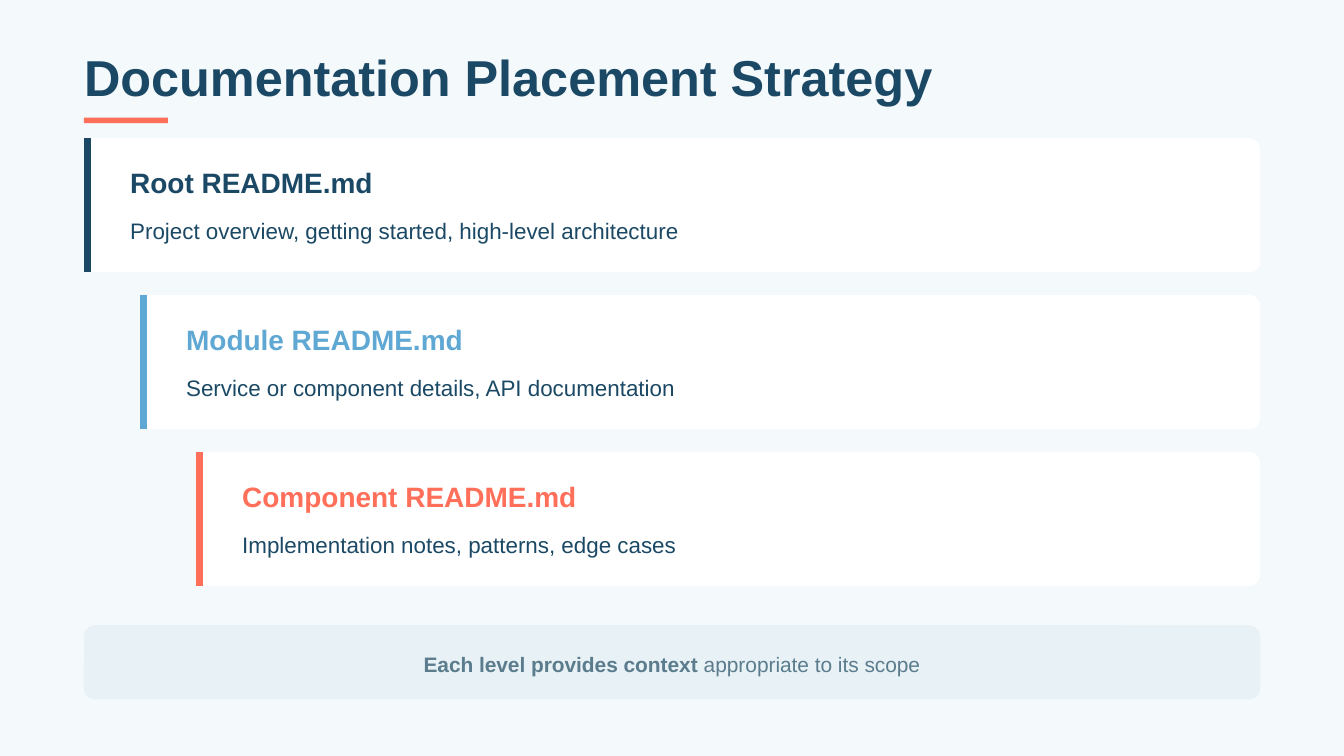
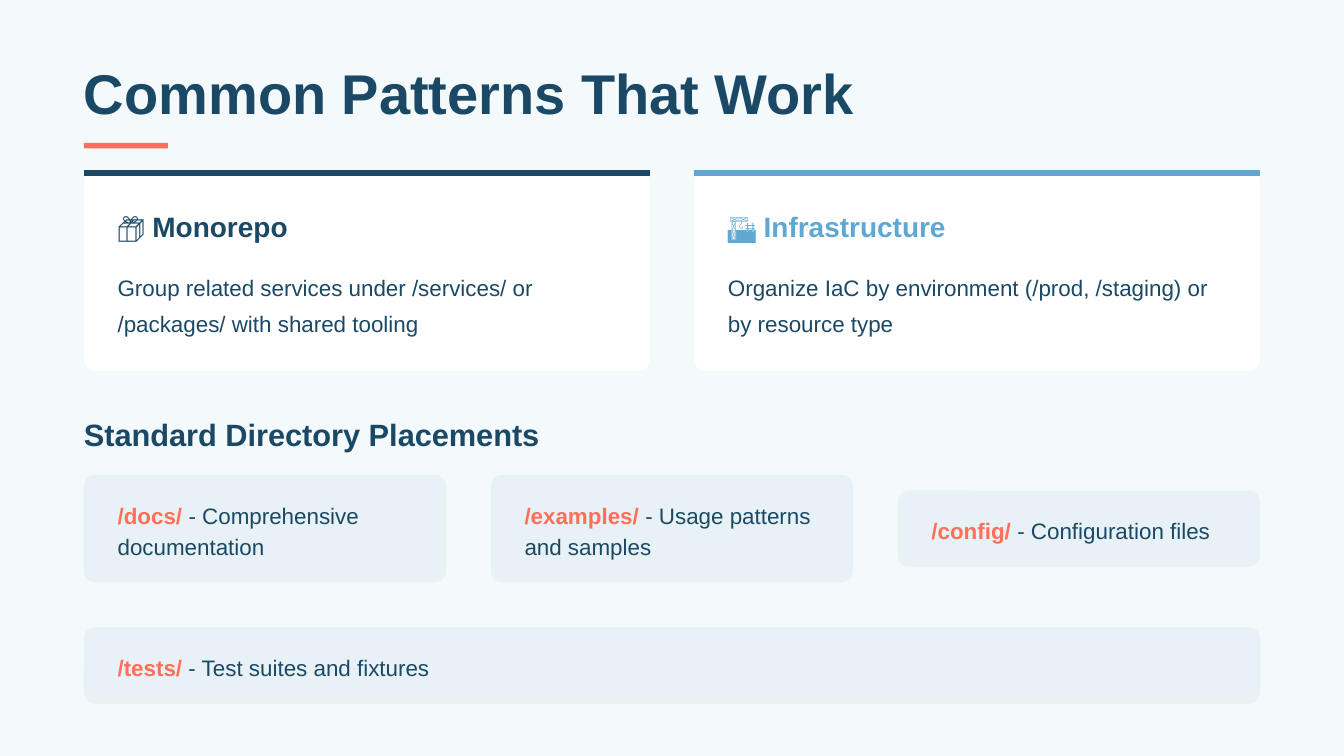
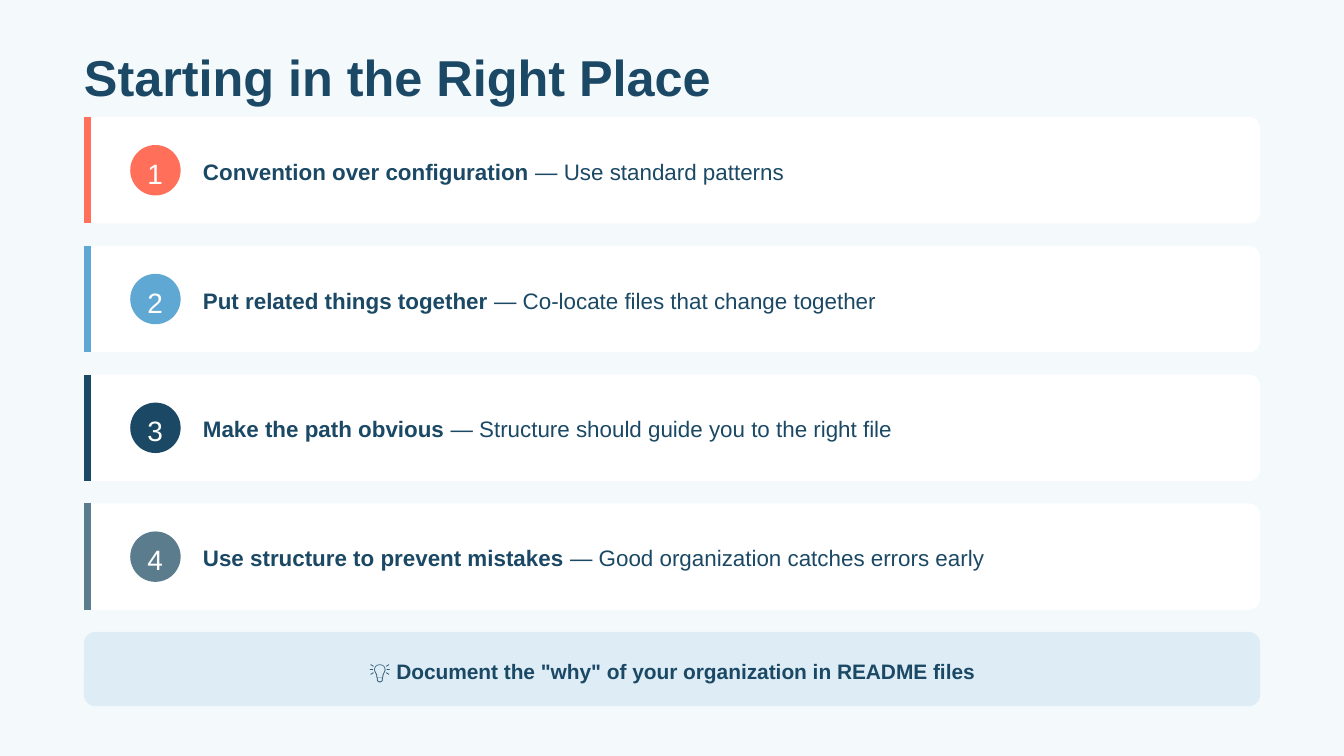
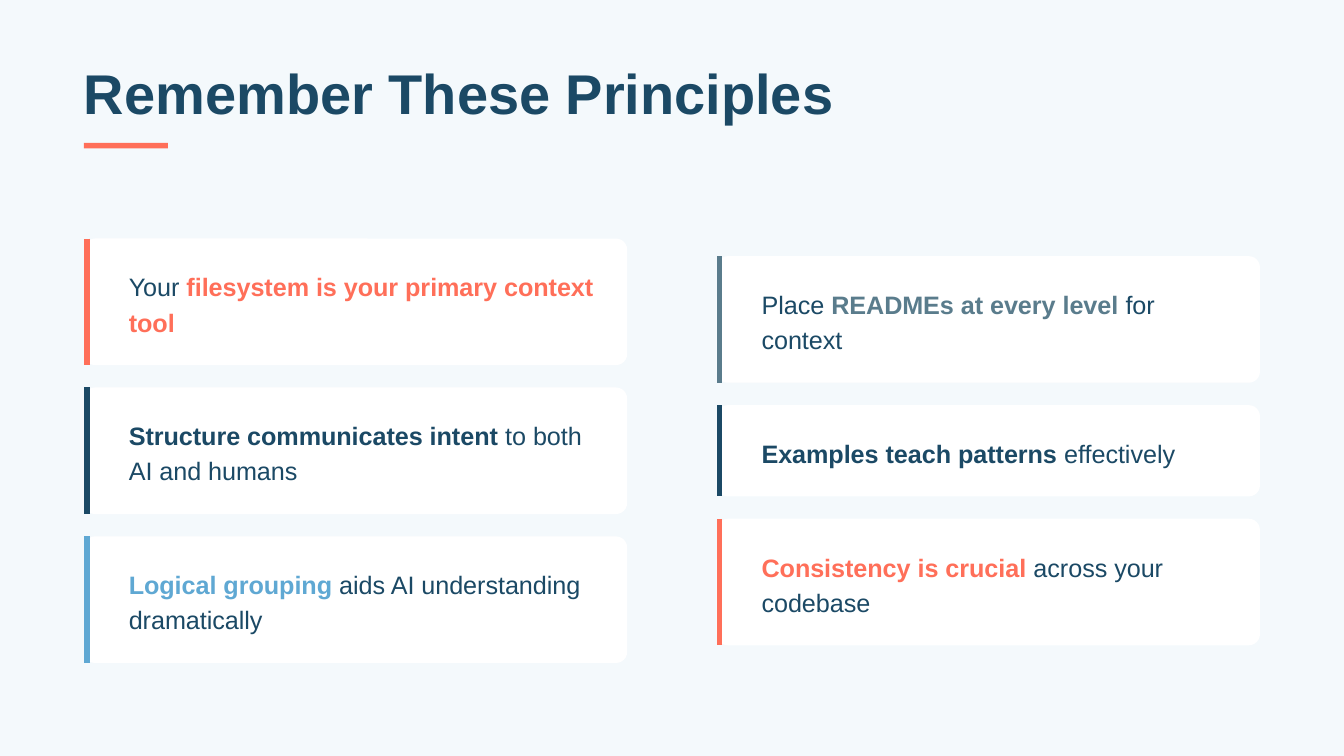
"""Build four slides on documentation placement and directory structure."""
from dataclasses import dataclass

from lxml.etree import SubElement
from pptx import Presentation
from pptx.dml.color import RGBColor as Color
from pptx.enum.shapes import MSO_CONNECTOR as Connector, MSO_SHAPE as Preset
from pptx.enum.text import PP_ALIGN as Align
from pptx.oxml.ns import qn
from pptx.presentation import Presentation as Deck
from pptx.shapes.autoshape import Shape
from pptx.slide import Slide
from pptx.util import Pt


@dataclass(frozen=True)
class Theme:
    font: str = "Arial"
    backdrop: Color = Color(0xF4, 0xF9, 0xFC)
    white: Color = Color(0xFF, 0xFF, 0xFF)
    navy: Color = Color(0x1B, 0x49, 0x65)
    sky: Color = Color(0x5F, 0xA8, 0xD3)
    coral: Color = Color(0xFF, 0x6F, 0x59)
    slate: Color = Color(0x5A, 0x7C, 0x8C)
    mist: Color = Color(0xE8, 0xF1, 0xF5)
    title: float = 30
    compact_title: float = 27
    section: float = 16.5
    heading: float = 15
    principle: float = 13.5
    body: float = 12
    note: float = 11.2
    radius: float = 6
    thick: float = 3.75
    thin: float = 3


THEME = Theme()
PAGE_WIDTH, PAGE_HEIGHT = 720, 405
MARGIN = 45
CONTENT_WIDTH = PAGE_WIDTH - 2 * MARGIN


@dataclass(frozen=True)
class Area:
    left: float
    top: float
    width: float
    height: float

    def lengths(self) -> tuple[Pt, Pt, Pt, Pt]:
        return Pt(self.left), Pt(self.top), Pt(self.width), Pt(self.height)


@dataclass(frozen=True)
class Span:
    text: str
    color: Color = THEME.navy
    bold: bool = False


@dataclass(frozen=True)
class TextStyle:
    size: float
    leading: float
    align: Align | None = None
    before: float = 0
    after: float = 0


@dataclass(frozen=True)
class Topic:
    heading: str
    detail: str
    color: Color


@dataclass(frozen=True)
class Step:
    lead: str
    detail: str
    color: Color
    width: float


@dataclass(frozen=True)
class Directory:
    name: str
    purpose: str
    lines: int = 1


@dataclass(frozen=True)
class Principle:
    spans: tuple[Span, ...]
    color: Color
    lines: int = 2


HEADING = TextStyle(THEME.heading, 18, after=6)
PATTERN_HEADING = TextStyle(THEME.heading, 18, after=12)
LEVEL_DETAIL = TextStyle(THEME.body, 18)
PATTERN_DETAIL = TextStyle(THEME.body, 19.2)
DIRECTORY = TextStyle(THEME.body, 16.8)
STEP = TextStyle(THEME.body, 16.8, before=4.5)
NUMERAL = TextStyle(THEME.heading, 21)
PRINCIPLE = TextStyle(THEME.principle, 18.9)
SECTION = TextStyle(THEME.section, 19.8)
NOTE = TextStyle(THEME.note, 15.8, Align.CENTER)

LEVELS = (
    Topic("Root README.md", "Project overview, getting started, high-level architecture", THEME.navy),
    Topic("Module README.md", "Service or component details, API documentation", THEME.sky),
    Topic("Component README.md", "Implementation notes, patterns, edge cases", THEME.coral),
)
PATTERNS = (
    Topic("📦 Monorepo", "Group related services under /services/ or /packages/ with shared tooling", THEME.navy),
    Topic("🏗️ Infrastructure", "Organize IaC by environment (/prod, /staging) or by resource type", THEME.sky),
)
DIRECTORIES = (
    Directory("/docs/", "Comprehensive documentation", 2),
    Directory("/examples/", "Usage patterns and samples", 2),
    Directory("/config/", "Configuration files"),
)
TESTS = Directory("/tests/", "Test suites and fixtures")
STEPS = (
    Step("Convention over configuration", "Use standard patterns", THEME.coral, 317.5),
    Step("Put related things together", "Co-locate files that change together", THEME.sky, 368),
    Step("Make the path obvious", "Structure should guide you to the right file", THEME.navy, 376.5),
    Step("Use structure to prevent mistakes", "Good organization catches errors early", THEME.slate, 427),
)
PRINCIPLE_COLUMNS = (
    (
        Principle((Span("Your "), Span("filesystem is your primary context tool", THEME.coral, True)), THEME.coral),
        Principle((Span("Structure communicates intent", bold=True), Span(" to both AI and humans")), THEME.navy),
        Principle((Span("Logical grouping", THEME.sky, True), Span(" aids AI understanding dramatically")), THEME.sky),
    ),
    (
        Principle((Span("Place "), Span("READMEs at every level", THEME.slate, True), Span(" for context")), THEME.slate),
        Principle((Span("Examples teach patterns", bold=True), Span(" effectively")), THEME.navy, 1),
        Principle((Span("Consistency is crucial", THEME.coral, True), Span(" across your codebase")), THEME.coral),
    ),
)


def add_block(page: Slide, area: Area, color: Color, preset: Preset = Preset.ROUNDED_RECTANGLE) -> Shape:
    """Draw a filled shape without outline, with the shared corner radius."""
    block = page.shapes.add_shape(preset, *area.lengths())
    block.shadow.inherit = False
    block.fill.solid()
    block.fill.fore_color.rgb = color
    block.line.fill.background()
    if preset == Preset.ROUNDED_RECTANGLE:
        block.adjustments[0] = THEME.radius / min(area.width, area.height)
    return block


def add_text(page: Slide, area: Area, style: TextStyle, *spans: Span) -> None:
    """Place one paragraph of formatted spans in a box without insets."""
    frame = page.shapes.add_textbox(*area.lengths()).text_frame
    frame.word_wrap = True
    frame.margin_left = frame.margin_top = frame.margin_right = frame.margin_bottom = 0
    para = frame.paragraphs[0]
    para.line_spacing = Pt(style.leading)
    para.space_before, para.space_after = Pt(style.before), Pt(style.after)
    para.alignment = style.align
    for span in spans:
        run = para.add_run()
        run.text = span.text
        run.font.name = THEME.font
        run.font.size = Pt(style.size)
        run.font.bold = span.bold
        run.font.color.rgb = span.color


def add_rule(page: Slide, start: tuple[float, float], end: tuple[float, float], color: Color, weight: float) -> None:
    """Draw a straight coloured line without shadow."""
    rule = page.shapes.add_connector(Connector.STRAIGHT, *map(Pt, start + end))
    rule.line.color.rgb = color
    rule.line.width = Pt(weight)
    SubElement(rule._element.spPr, qn("a:effectLst"))


def add_side_card(page: Slide, area: Area, color: Color, weight: float) -> None:
    """Draw a white card with a coloured line along its left edge."""
    add_block(page, area, THEME.white)
    center = area.left + weight / 2
    add_rule(page, (center, area.top), (center, area.top + area.height), color, weight)


def add_note(page: Slide, top: float, color: Color, padding: float, *spans: Span) -> Shape:
    """Draw the full-width closing band with centred text."""
    band = add_block(page, Area(MARGIN, top, CONTENT_WIDTH, 39.75), color)
    add_text(page, Area(MARGIN + padding, top + 12, CONTENT_WIDTH - 2 * padding, 15.8), NOTE, *spans)
    return band


def add_page(deck: Deck, title: str, width: float, size: float, top: float, bar_top: float | None = None) -> Slide:
    """Add a blank page with the backdrop, the title and its accent bar."""
    page = deck.slides.add_slide(deck.slide_layouts[6])
    page.background.fill.solid()
    page.background.fill.fore_color.rgb = THEME.backdrop
    add_text(page, Area(MARGIN, top, width, size), TextStyle(size, size), Span(title, bold=True))
    if bar_top is not None:
        add_block(page, Area(MARGIN, bar_top, 45, 3), THEME.coral, Preset.RECTANGLE)
    return page


def build_placement(deck: Deck) -> None:
    """Build the stepped README levels."""
    page = add_page(deck, "Documentation Placement Strategy", 464.5, THEME.compact_title, 30, 63)
    for index, level in enumerate(LEVELS):
        indent = 30 * index
        card = Area(MARGIN + indent, 74 + 84 * index, CONTENT_WIDTH - indent, 72)
        add_side_card(page, card, level.color, THEME.thick)
        left, width = card.left + 24.75, card.width - 34.5
        add_text(page, Area(left, card.top + 14.75, width, 18), HEADING, Span(level.heading, level.color, True))
        add_text(page, Area(left, card.top + 38.75, width, 18), LEVEL_DETAIL, Span(level.detail))
    add_note(page, 335, THEME.mist, 12, Span("Each level provides context", THEME.slate, True),
             Span(" appropriate to its scope", THEME.slate))


def add_directory(page: Slide, left: float, middle: float, width: float, directory: Directory) -> None:
    """Draw a directory box centred on the given height."""
    text_height = directory.lines * DIRECTORY.leading
    height = text_height + 24
    box = Area(left, middle - height / 2, width, height)
    add_block(page, box, THEME.mist)
    add_text(page, Area(left + 18, box.top + 12, width - 32.5, text_height), DIRECTORY,
             Span(directory.name, THEME.coral, True), Span(f" - {directory.purpose}"))


def build_patterns(deck: Deck) -> None:
    """Build the two pattern cards and the directory boxes."""
    page = add_page(deck, "Common Patterns That Work", 421, THEME.title, 37.5, 76.5)
    gap = 24
    card_width = (CONTENT_WIDTH - gap) / 2
    for index, pattern in enumerate(PATTERNS):
        card = Area(MARGIN + index * (card_width + gap), 91.25, card_width, 107.5)
        add_block(page, card, THEME.white)
        edge = card.top + THEME.thin / 2
        add_rule(page, (card.left, edge), (card.left + card.width, edge), pattern.color, THEME.thin)
        left, width = card.left + 18, card.width - 31
        add_text(page, Area(left, card.top + 21, width, 18), PATTERN_HEADING,
                 Span(pattern.heading, pattern.color, True))
        add_text(page, Area(left, card.top + 51, width, 38.4), PATTERN_DETAIL, Span(pattern.detail))
    add_text(page, Area(MARGIN, 222.5, 643, 19.8), SECTION, Span("Standard Directory Placements", bold=True))
    box_width = (CONTENT_WIDTH - 2 * gap) / 3
    for index, directory in enumerate(DIRECTORIES):
        add_directory(page, MARGIN + index * (box_width + gap), 283.2, box_width, directory)
    add_directory(page, MARGIN, 356.5, CONTENT_WIDTH, TESTS)


def build_steps(deck: Deck) -> None:
    """Build the numbered steps and the closing advice."""
    page = add_page(deck, "Starting in the Right Place", 343.5, THEME.compact_title, 30)
    for index, step in enumerate(STEPS):
        card = Area(MARGIN, 62.7 + 69 * index, CONTENT_WIDTH, 57)
        add_side_card(page, card, step.color, THEME.thick)
        badge = Area(card.left + 24.75, card.top + 15, 27, 27)
        add_block(page, badge, step.color, Preset.OVAL)
        add_text(page, Area(badge.left + 9.25, badge.top + 3, 8.75, 21), NUMERAL, Span(str(index + 1), THEME.white))
        add_text(page, Area(card.left + 63.75, card.top + 19.5, step.width, 16.8), STEP,
                 Span(step.lead, bold=True), Span(f" — {step.detail}"))
    band = add_note(page, 338.6, THEME.sky, 15,
                    Span('💡 Document the "why" of your organization in README files', bold=True))
    fill_color = band._element.spPr.find(f"{qn('a:solidFill')}/{qn('a:srgbClr')}")
    SubElement(fill_color, qn("a:alpha"), val="15000")


def build_principles(deck: Deck) -> None:
    """Build two columns of principles, each centred vertically."""
    page = add_page(deck, "Remember These Principles", 410.5, THEME.title, 37.5, 76.5)
    column_gap, card_gap, padding, middle = 48, 12, 15, 241.5
    width = (CONTENT_WIDTH - column_gap) / 2
    for column, principles in enumerate(PRINCIPLE_COLUMNS):
        left = MARGIN + column * (width + column_gap)
        heights = [item.lines * PRINCIPLE.leading + 2 * padding for item in principles]
        top = middle - (sum(heights) + card_gap * (len(heights) - 1)) / 2
        for item, height in zip(principles, heights):
            add_side_card(page, Area(left, top, width, height), item.color, THEME.thin)
            add_text(page, Area(left + 24, top + padding, 250.5, height - 2 * padding), PRINCIPLE, *item.spans)
            top += height + card_gap


def main() -> None:
    """Create the deck and save it."""
    deck = Presentation()
    deck.slide_width, deck.slide_height = Pt(PAGE_WIDTH), Pt(PAGE_HEIGHT)
    for build in (build_placement, build_patterns, build_steps, build_principles):
        build(deck)
    deck.save("out.pptx")


if __name__ == "__main__":
    main()
